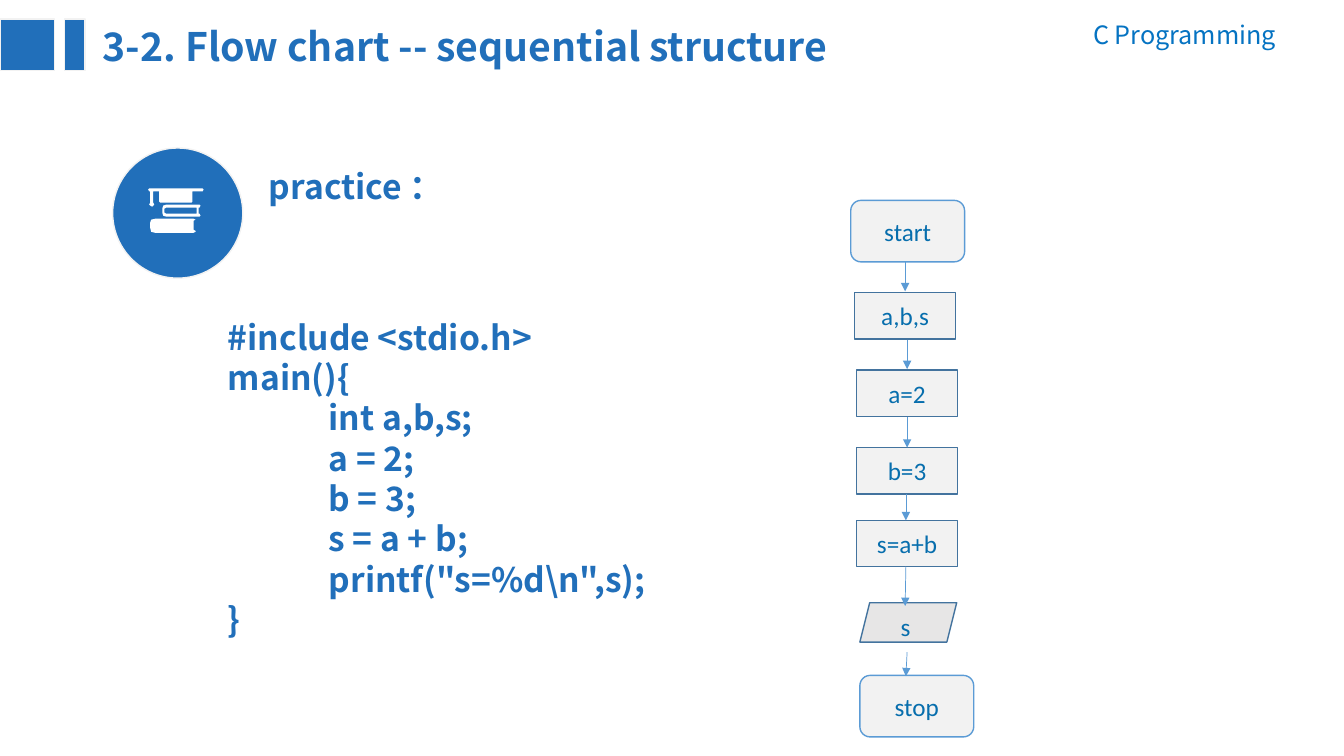
from dataclasses import dataclass

from lxml import etree
from pptx import Presentation
from pptx import util as u
from pptx.dml import color
from pptx.enum import shapes, text
from pptx.oxml import ns

HUES = {"blue": "216FBA", "head": "0573C2", "label": "076EAD", "pale": "F2F2F2",
        "grey": "E7E6E6", "edge": "43739E", "sky": "5B9BD5", "white": "FFFFFF"}
SANS = "Noto Sans CJK SC"
KIND = shapes.MSO_SHAPE
ALIGN = text.PP_ALIGN


@dataclass
class Box:
    x: float
    y: float
    w: float
    h: float


@dataclass
class Node:
    box: Box
    kind: int
    fill: str
    line: str
    label: str = ""


@dataclass
class Arrow:
    x1: float
    y1: float
    x2: float
    y2: float


RECT, ROUND = KIND.FLOWCHART_PROCESS, KIND.FLOWCHART_ALTERNATE_PROCESS
BARS = [Node(Box(x, 0.48, w, 1.3), KIND.RECTANGLE, "blue", "pale")
        for x, w in ((0, 1.37), (1.63, 0.51))]
BADGE = Node(Box(2.84, 3.73, 3.28, 3.28), KIND.OVAL, "blue", "pale")
STEPS = [Node(Box(x, y, 2.54, 1.17), RECT, "pale", "edge", label)
         for x, y, label in ((21.54, 7.37, "a,b,s"), (21.59, 9.32, "a=2"),
                             (21.59, 11.28, "b=3"), (21.59, 13.11, "s=a+b"))]
ENDS = [Node(Box(x, y, 2.87, 1.55), ROUND, "pale", "sky", label)
        for x, y, label in ((21.44, 5.05, "start"), (21.67, 17.02, "stop"))]
PRINT = Node(Box(21.67, 15.19, 2.44, 0.99), KIND.PARALLELOGRAM, "grey", "edge")
ARROWS = [Arrow(22.81, 6.6, 22.81, 7.34), Arrow(22.86, 8.56, 22.86, 9.3),
          Arrow(22.86, 10.52, 22.86, 11.28), Arrow(22.83, 12.45, 22.83, 13.11),
          Arrow(22.83, 14.27, 22.81, 15.27), Arrow(22.86, 16.43, 22.83, 17.04)]
CODE = """#include <stdio.h>
main(){
\tint a,b,s;
\ta = 2;
\tb = 3;
\ts = a + b;
\tprintf("s=%d\\n",s);
}"""
BOOKS = [
    [(194, 229), (193.5, 230.5), (192, 231), (154, 231), (150.5, 229.5), (149, 226),
     (149, 221), (150.5, 218.5), (154, 217), (192, 217), (194, 218), (192, 219),
     (192, 228)],
    [(199, 214), (198, 215), (165, 215), (162, 214), (161, 211), (161, 207),
     (162, 204), (165, 203), (198, 203), (199, 204), (198, 206), (197, 206),
     (197, 212), (198, 212)],
    [(165, 212), (195, 212), (195, 206), (165, 206), (163, 207), (163, 211)],
    [(201, 187), (148, 187), (147, 188), (148, 190), (149, 190), (149, 201),
     (148, 203), (149, 204.5), (151, 205), (152.5, 204.5), (153, 203), (152, 201),
     (152, 190), (158, 190), (158, 200), (159, 201), (190, 201), (191, 200),
     (191, 190), (201, 190), (202, 188)],
]


def hue(name: str) -> color.RGBColor:
    return color.RGBColor.from_string(HUES[name])


def place(shape, box: Box) -> None:
    shape.left, shape.top = u.Cm(box.x), u.Cm(box.y)
    shape.width, shape.height = u.Cm(box.w), u.Cm(box.h)


def write(shape, words: str, *, size: int = 24, font: str = SANS, tint: str = "blue",
          bold: bool = False, align=ALIGN.LEFT, lead: float = 0,
          mid: bool = False) -> None:
    frame = shape.text_frame
    frame.word_wrap = True
    frame.auto_size = (text.MSO_AUTO_SIZE.NONE if mid
                       else text.MSO_AUTO_SIZE.SHAPE_TO_FIT_TEXT)
    frame.vertical_anchor = text.MSO_ANCHOR.MIDDLE if mid else text.MSO_ANCHOR.TOP
    frame.text = words
    for para in frame.paragraphs:
        para.alignment = align
        para.space_before = u.Pt(0)
        if lead:
            para.line_spacing = u.Pt(lead)
        for run in para.runs:
            run.font.size, run.font.name, run.font.bold = u.Pt(size), font, bold
            run.font.color.rgb = hue(tint)
            east = etree.SubElement(run.font._element, ns.qn("a:ea"))
            east.set("typeface", font)


def label(slide, box: Box, words: str, **style) -> None:
    shape = slide.shapes.add_textbox(0, 0, 0, 0)
    place(shape, box)
    write(shape, words, **style)


def draw(parent, node: Node) -> None:
    shape = parent.shapes.add_shape(node.kind, 0, 0, 0, 0)
    place(shape, node.box)
    shape.shadow.inherit = False
    shape.fill.solid()
    shape.fill.fore_color.rgb = hue(node.fill)
    shape.line.color.rgb = hue(node.line)
    shape.line.width = u.Pt(1)
    if node.label:
        write(shape, node.label, size=18, font="Calibri", tint="label",
              align=ALIGN.CENTER, mid=True)


def link(slide, arrow: Arrow) -> None:
    ends = [u.Cm(v) for v in (arrow.x1, arrow.y1, arrow.x2, arrow.y2)]
    line = slide.shapes.add_connector(shapes.MSO_CONNECTOR.STRAIGHT, *ends)
    line.line.color.rgb = hue("sky")
    line.line.width = u.Pt(0.5)
    tip = etree.SubElement(line.line._get_or_add_ln(), ns.qn("a:tailEnd"))
    tip.set("type", "triangle")
    etree.SubElement(line._element.spPr, ns.qn("a:effectLst"))


def badge(slide) -> None:
    group = slide.shapes.add_group_shape()
    draw(group, BADGE)
    first, *rest = BOOKS
    pen = group.shapes.build_freeform(*first[0], scale=u.Cm(2.54) / 100)
    pen.add_line_segments(first[1:], close=True)
    for ring in rest:
        pen.move_to(*ring[0])
        pen.add_line_segments(ring[1:], close=True)
    icon = pen.convert_to_shape()
    icon.shadow.inherit = False
    icon.fill.solid()
    icon.fill.fore_color.rgb = hue("white")
    icon.line.fill.background()


def listing(body) -> None:
    place(body, Box(5.49, 7.85, 11.68, 8.46))
    write(body, CODE, bold=True, lead=28.8)
    for para in body.text_frame.paragraphs:
        props = para._p.get_or_add_pPr()
        for key, value in (("marL", 0), ("indent", 0), ("defTabSz", u.Cm(2.54))):
            props.set(key, str(int(value)))
        etree.SubElement(props, ns.qn("a:buNone"))


def main() -> None:
    deck = Presentation()
    deck.slide_width, deck.slide_height = u.Cm(33.87), u.Cm(19.05)
    slide = deck.slides.add_slide(deck.slide_layouts[1])
    title, body = slide.placeholders
    place(title, Box(2.34, 0.43, 21.06, 1.45))
    write(title, "3-2. Flow chart -- sequential structure", size=28, bold=True, lead=33.6)
    listing(body)
    label(slide, Box(24.79, 0.36, 7.62, 1.02), "C Programming", size=18, tint="head",
          align=ALIGN.RIGHT, lead=21.6)
    label(slide, Box(6.53, 3.84, 10.21, 1.47), "practice ：", bold=True, lead=34.6)
    badge(slide)
    for node in (*BARS, *STEPS, PRINT, *ENDS):
        draw(slide, node)
    label(slide, Box(22.45, 15.29, 1.17, 1.02), "s", size=18, font="Calibri", tint="label")
    for arrow in ARROWS:
        link(slide, arrow)
    deck.save("out.pptx")


if __name__ == "__main__":
    main()
